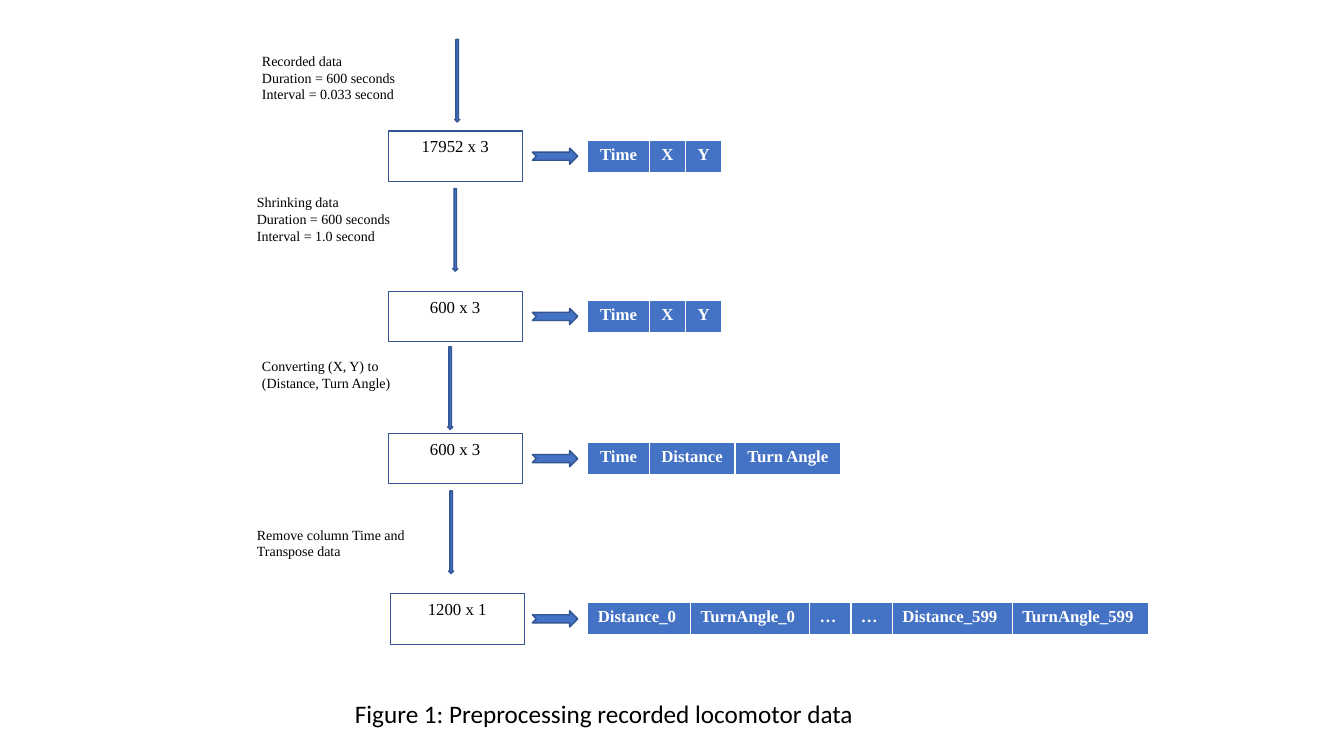
"""Flow diagram of the preprocessing steps for recorded locomotor data."""
from dataclasses import dataclass

from lxml.etree import SubElement
from pptx import Presentation
from pptx.dml.color import RGBColor
from pptx.enum.shapes import MSO_SHAPE
from pptx.enum.text import MSO_ANCHOR, PP_ALIGN
from pptx.oxml.ns import qn
from pptx.util import Emu, Pt

EMU_PER_PX = 9144
SERIF = "Times New Roman"
BLUE, DARK_BLUE, WHITE, BLACK = "4472C4", "325491", "FFFFFF", "000000"
BOX_W, BOX_H = 133, 50
TABLE_X, TABLE_DY, ROW_H = 583, 9, 33
SIDE_ARROW_X, SIDE_ARROW_DY = 528, 17
BORDERS = {"a:lnL": 1, "a:lnR": 1, "a:lnT": 1, "a:lnB": 3}


@dataclass
class Stage:
    note: list[str]
    note_at: tuple[int, int, int, int]
    arrow_at: tuple[int, int]
    size: str
    box_at: tuple[int, int]
    columns: list[tuple[str, int]]
    align: PP_ALIGN = PP_ALIGN.CENTER


XY_COLUMNS = [("Time", 61), ("X", 36), ("Y", 36)]
STAGES = [
    Stage(["Recorded data", "Duration = 600 seconds", "Interval = 0.033 second"],
          (250, 47, 169, 77), (451, 39), "17952 x 3", (385, 130), XY_COLUMNS),
    Stage(["Shrinking data", "Duration = 600 seconds", "Interval = 1.0 second"],
          (245, 187, 169, 77), (449, 187), "600 x 3", (385, 289), XY_COLUMNS),
    Stage(["Converting (X, Y) to", "(Distance, Turn Angle)"],
          (250, 350, 169, 61), (444, 344), "600 x 3", (385, 430),
          [("Time", 61), ("Distance", 85), ("Turn Angle", 105)]),
    Stage(["Remove column Time and", "Transpose data"],
          (245, 517, 169, 44), (445, 487), "1200 x 1", (387, 589),
          [("Distance_0", 102), ("TurnAngle_0", 118), ("…", 41), ("…", 41),
           ("Distance_599", 119), ("TurnAngle_599", 135)], PP_ALIGN.LEFT),
]


def px(n: int) -> Emu:
    """Convert pixels to EMU."""
    return Emu(n * EMU_PER_PX)


def rgb(color: str) -> RGBColor:
    """Convert a hex string to a colour."""
    return RGBColor.from_string(color)


def write(tf, lines: list[str], size: int, color: str = BLACK, font: str = SERIF,
          align: PP_ALIGN = PP_ALIGN.LEFT, bold: bool = False) -> None:
    """Write one formatted paragraph per line."""
    for i, line in enumerate(lines):
        p = tf.add_paragraph() if i else tf.paragraphs[0]
        p.alignment = align
        r = p.add_run()
        r.text = line
        r.font.size, r.font.name, r.font.bold = Pt(size), font, bold
        r.font.color.rgb = rgb(color)


def add_shape(s, kind: MSO_SHAPE, x: int, y: int, w: int, h: int,
              fill: str | None = None, line_pt: float = 1):
    """Add an outlined shape without a shadow."""
    sp = s.shapes.add_shape(kind, px(x), px(y), px(w), px(h))
    sp.shadow.inherit = False
    if fill:
        sp.fill.solid()
        sp.fill.fore_color.rgb = rgb(fill)
    else:
        sp.fill.background()
    sp.line.color.rgb = rgb(DARK_BLUE)
    sp.line.width = Pt(line_pt)
    return sp


def add_borders(cell) -> None:
    """Give a cell white borders, heavier at the bottom."""
    tc_pr = cell._tc.get_or_add_tcPr()
    for tag, width in BORDERS.items():
        ln = SubElement(tc_pr, qn(tag), w=str(Pt(width)))
        fill = SubElement(ln, qn("a:solidFill"))
        SubElement(fill, qn("a:srgbClr"), val=WHITE)


def add_header_table(s, x: int, y: int, columns: list[tuple[str, int]],
                     align: PP_ALIGN) -> None:
    """Add a one-row table of column names."""
    width = sum(w for _, w in columns)
    table = s.shapes.add_table(1, len(columns), px(x), px(y), px(width), px(ROW_H)).table
    for i, (name, w) in enumerate(columns):
        table.columns[i].width = px(w)
        cell = table.cell(0, i)
        add_borders(cell)
        cell.fill.solid()
        cell.fill.fore_color.rgb = rgb(BLUE)
        write(cell.text_frame, [name], 12, WHITE, align=align, bold=True)


def add_stage(s, stage: Stage) -> None:
    """Draw the note, arrows, size box and table of a stage."""
    tf = s.shapes.add_textbox(*map(px, stage.note_at)).text_frame
    tf.word_wrap = True
    write(tf, stage.note, 10)
    add_shape(s, MSO_SHAPE.DOWN_ARROW, *stage.arrow_at, 5, 82, BLUE)
    x, y = stage.box_at
    box = add_shape(s, MSO_SHAPE.RECTANGLE, x, y, BOX_W, BOX_H, line_pt=0.75)
    box.text_frame.vertical_anchor = MSO_ANCHOR.TOP
    write(box.text_frame, [stage.size], 12, align=PP_ALIGN.CENTER)
    add_shape(s, MSO_SHAPE.NOTCHED_RIGHT_ARROW, SIDE_ARROW_X, y + SIDE_ARROW_DY, 45, 16, BLUE)
    add_header_table(s, TABLE_X, y + TABLE_DY, stage.columns, stage.align)


def add_caption(s, text: str) -> None:
    """Set the figure caption in the title placeholder."""
    title = s.shapes.title
    title.left, title.top, title.width, title.height = map(px, (342, 688, 544, 40))
    title.text_frame.vertical_anchor = MSO_ANCHOR.TOP
    write(title.text_frame, [text], 18, font="Calibri")


def main() -> None:
    """Build and save the slide."""
    prs = Presentation()
    prs.slide_width, prs.slide_height = px(1333), px(750)
    s = prs.slides.add_slide(prs.slide_layouts[5])
    for stage in STAGES:
        add_stage(s, stage)
    add_caption(s, "Figure 1: Preprocessing recorded locomotor data")
    prs.save("out.pptx")


if __name__ == "__main__":
    main()
